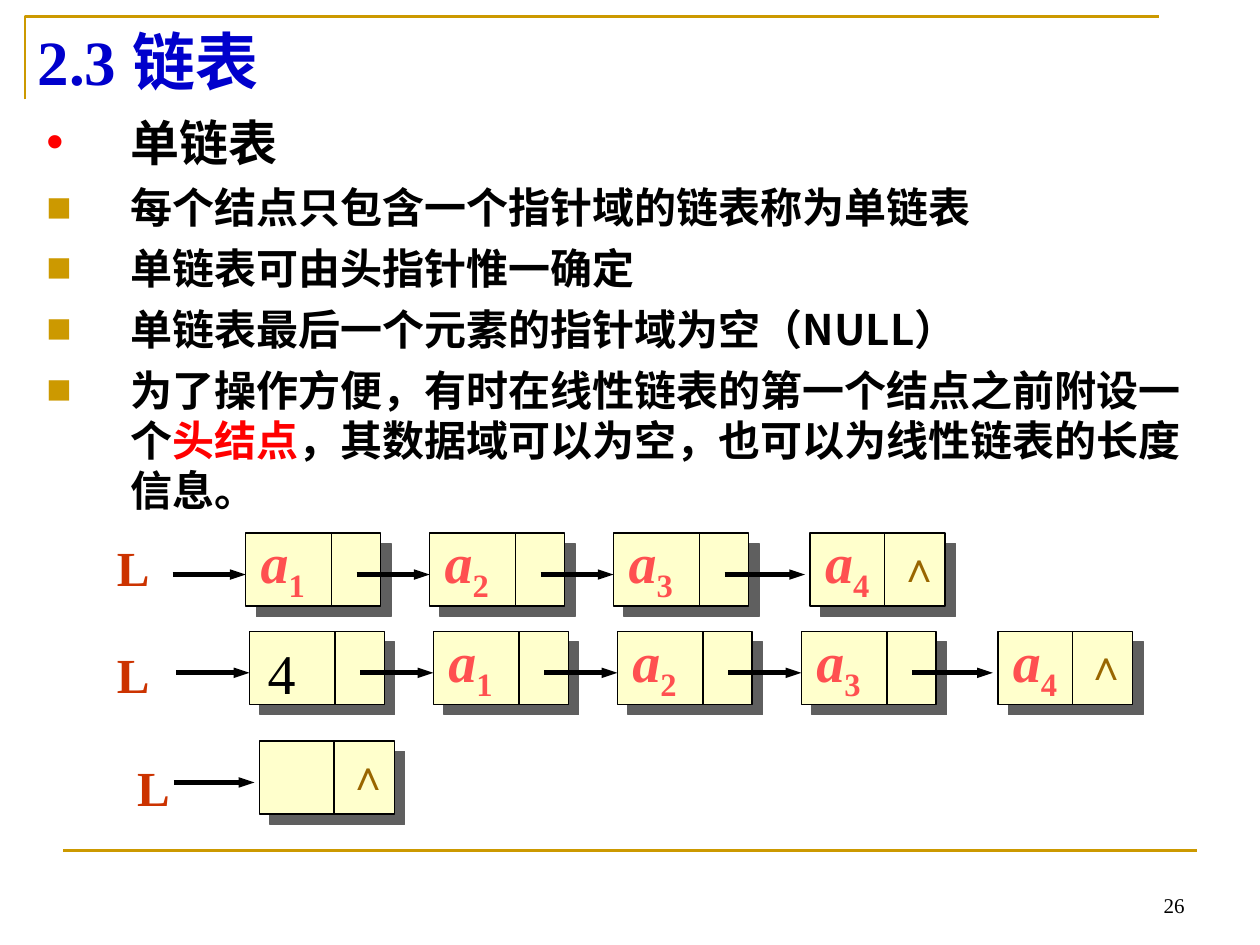
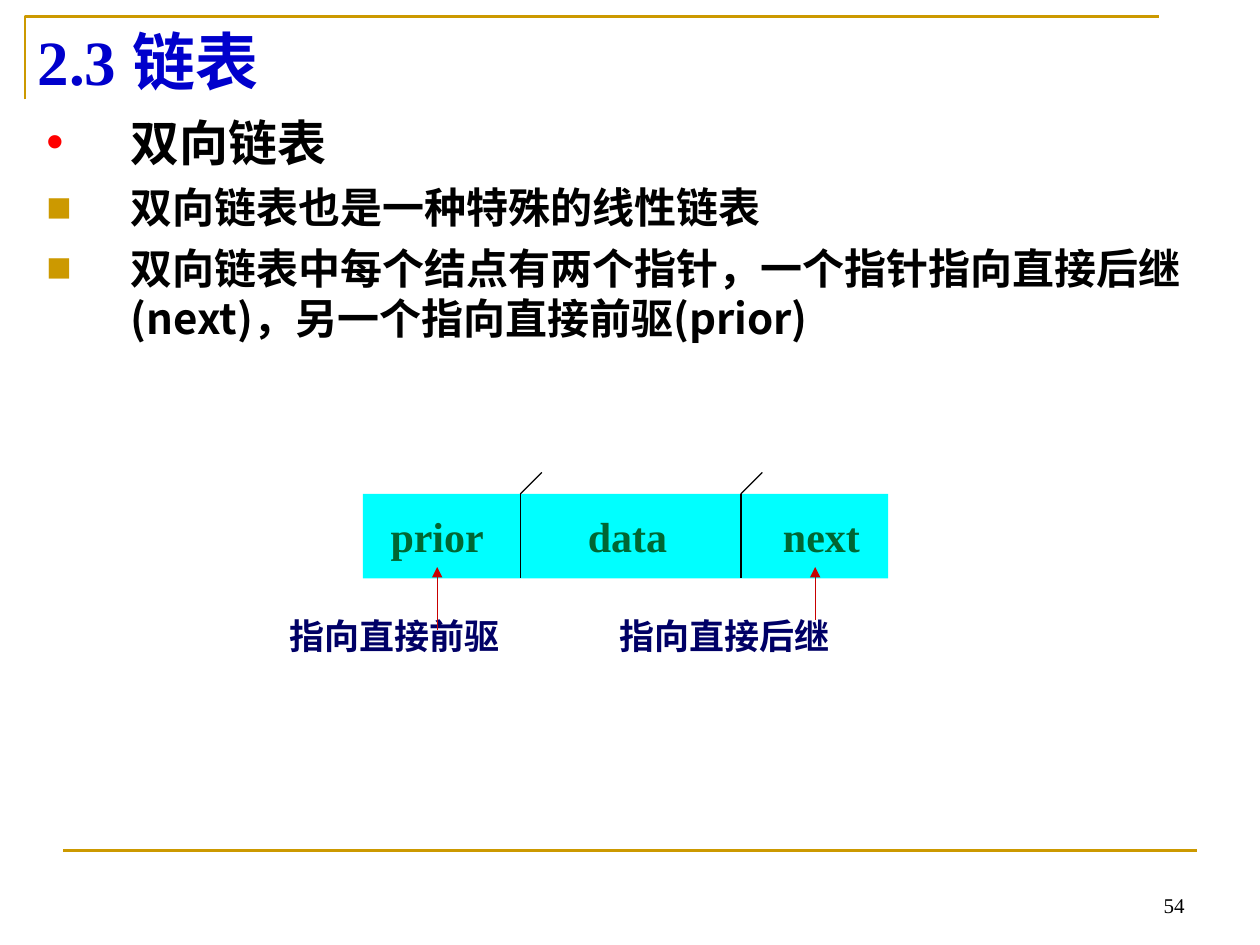
"""Builds two slides about singly and doubly linked lists."""
from lxml import etree
from pptx import Presentation
from pptx.dml.color import RGBColor
from pptx.enum.shapes import MSO_CONNECTOR, MSO_SHAPE
from pptx.enum.text import MSO_ANCHOR, PP_ALIGN
from pptx.oxml.ns import qn
from pptx.util import Inches, Pt

STRAIGHT = MSO_CONNECTOR.STRAIGHT
RECTANGLE = MSO_SHAPE.RECTANGLE
TOP, MIDDLE, BOTTOM = MSO_ANCHOR.TOP, MSO_ANCHOR.MIDDLE, MSO_ANCHOR.BOTTOM
LEFT, CENTER, RIGHT = PP_ALIGN.LEFT, PP_ALIGN.CENTER, PP_ALIGN.RIGHT

SERIF, SANS, CHINESE = "Times New Roman", "Arial", "Noto Sans CJK SC"
BLACK, RED, GOLD, TITLE_BLUE = "000000", "FF0000", "CC9900", "0000CC"
NODE_FILL, SHADOW, VALUE_RED = "FFFFCC", "5F5F5F", "FF5050"
NULL_BROWN, HEAD_RED = "996600", "CC3300"
CYAN, FIELD_GREEN, NOTE_BLUE, ARROW_RED = "00FFFF", "006633", "000066", "C80000"

TITLE = "2.3 链表"
SINGLE = {
    "number": "26",
    "topic": "单链表",
    "points": [
        [("每个结点只包含一个指针域的链表称为单链表", BLACK)],
        [("单链表可由头指针惟一确定", BLACK)],
        [("单链表最后一个元素的指针域为空（NULL）", BLACK)],
        [("为了操作方便，有时在线性链表的第一个结点之前附设一个", BLACK),
         ("头结点", RED),
         ("，其数据域可以为空，也可以为线性链表的长度信息。", BLACK)],
    ],
}
DOUBLE = {
    "number": "54",
    "topic": "双向链表",
    "points": [
        [("双向链表也是一种特殊的线性链表", BLACK)],
        [("双向链表中每个结点有两个指针，一个指针指向直接后继(next)，"
          "另一个指向直接前驱(prior)", BLACK)],
    ],
}
CHAINS = [
    {"left": 1.95, "top": 4.23, "head": (0.83, 4.22), "values": ["a1", "a2", "a3", "a4"]},
    {"left": 1.98, "top": 5.01, "head": (0.83, 5.07), "values": ["4", "a1", "a2", "a3", "a4"]},
    {"left": 1.96, "top": 5.88, "head": (0.99, 5.96), "values": [""]},
]
NODE_WIDTH, NODE_HEIGHT, NODE_PITCH = 1.07, 0.58, 1.46
LAST_SHIFT = 0.1

FIELDS_LEFT, FIELDS_TOP, FIELDS_WIDTH, FIELDS_HEIGHT = 2.88, 3.92, 4.17, 0.67
FIELDS = [("prior", 3.47), ("data", 4.98), ("next", 6.52)]
FIELD_DIVIDERS = [4.13, 5.88]
POINTER_NOTES = [("指向直接前驱", 2.2, 3.47, 5.0), ("指向直接后继", 4.82, 6.47, 4.92)]


def color(value):
    return RGBColor.from_string(value)


def add_element(parent, tag, **attributes):
    return etree.SubElement(parent, qn(tag), attributes)


def add_run(paragraph, text, size, font, fill, bold=True, italic=False):
    run = paragraph.add_run()
    run.text = text
    run.font.name, run.font.size = font, Pt(size)
    run.font.bold, run.font.italic = bold, italic
    run.font.color.rgb = color(fill)
    properties = run._r.get_or_add_rPr()
    add_element(properties, "a:ea", typeface=CHINESE)
    return run


def add_box(slide, left, top, width, height, anchor=TOP, align=LEFT, wrap=True):
    shape = slide.shapes.add_textbox(
        Inches(left), Inches(top), Inches(width), Inches(height))
    shape.text_frame.word_wrap = wrap
    shape.text_frame.vertical_anchor = anchor
    shape.text_frame.paragraphs[0].alignment = align
    return shape.text_frame


def add_line(slide, start, end, fill, width, arrow_width=None):
    points = [Inches(value) for value in (*start, *end)]
    line = slide.shapes.add_connector(STRAIGHT, *points)
    line.line.color.rgb = color(fill)
    line.line.width = Pt(width)
    if arrow_width:
        add_element(line.line._get_or_add_ln(), "a:tailEnd",
                    type="triangle", w=arrow_width, len="med")
    add_element(line._element.spPr, "a:effectLst")


def add_rectangle(slide, left, top, width, height, fill):
    shape = slide.shapes.add_shape(
        RECTANGLE, Inches(left), Inches(top), Inches(width), Inches(height))
    shape.fill.solid()
    shape.fill.fore_color.rgb = color(fill)
    shape.line.fill.background()
    shape.shadow.inherit = False
    return shape


def add_bullet(paragraph, character, fill):
    properties = paragraph._p.get_or_add_pPr()
    properties.set("marL", str(Inches(0.67)))
    properties.set("indent", str(-Inches(0.67)))
    bullet_color = add_element(properties, "a:buClr")
    add_element(bullet_color, "a:srgbClr", val=fill)
    add_element(properties, "a:buFont", typeface=SANS)
    add_element(properties, "a:buChar", char=character)


def add_frame(slide, number):
    builder = slide.shapes.build_freeform(Inches(0.2), Inches(0.79))
    builder.add_line_segments(
        [(Inches(0.2), Inches(0.13)), (Inches(9.2), Inches(0.13))], close=False)
    corner = builder.convert_to_shape()
    corner.fill.background()
    corner.line.color.rgb = color(GOLD)
    corner.line.width = Pt(1.5)
    corner.shadow.inherit = False
    add_line(slide, (0.5, 6.75), (9.5, 6.75), GOLD, 1.5)
    footer = add_box(slide, 7.17, 6.83, 2.33, 0.5, BOTTOM, RIGHT)
    add_run(footer.paragraphs[0], number, 12, SERIF, BLACK, bold=False)
    title = add_box(slide, 0.2, 0.13, 9, 0.71).paragraphs[0]
    title.line_spacing = Pt(43.2)
    add_run(title, TITLE, 36, SERIF, TITLE_BLUE)


def add_points(slide, topic, points):
    frame = add_box(slide, 0.27, 0.84, 9.25, 3.39)
    heading = frame.paragraphs[0]
    add_bullet(heading, "•", RED)
    heading.line_spacing = Pt(33.6)
    add_run(heading, topic, 28, CHINESE, BLACK)
    for point in points:
        paragraph = frame.add_paragraph()
        add_bullet(paragraph, "■", GOLD)
        paragraph.line_spacing = Pt(28.8)
        paragraph.space_before = Pt(6)
        for text, fill in point:
            add_run(paragraph, text, 24, CHINESE, fill)


def add_value(slide, value, left, top):
    if value.startswith("a"):
        paragraph = add_box(slide, left + 0.02, top - 0.09, 0.55, 0.71, wrap=False).paragraphs[0]
        add_run(paragraph, "a", 32, SERIF, VALUE_RED, italic=True)
        subscript = add_run(paragraph, value[1:], 32, SERIF, VALUE_RED)
        subscript._r.get_or_add_rPr().set("baseline", "-25000")
    elif value:
        paragraph = add_box(slide, left, top + 0.01, 0.51, 0.64, align=CENTER).paragraphs[0]
        add_run(paragraph, value, 32, SERIF, BLACK, bold=False)


def add_node(slide, value, left, top, is_last):
    node = add_rectangle(slide, left, top, NODE_WIDTH, NODE_HEIGHT, NODE_FILL)
    node.line.color.rgb = color(BLACK)
    node.line.width = Pt(0.75)
    effects = node._element.spPr.find(qn("a:effectLst"))
    shadow = add_element(effects, "a:outerShdw", dist=str(Pt(8.5)),
                         dir="2700000", algn="ctr", rotWithShape="0")
    add_element(shadow, "a:srgbClr", val=SHADOW)
    divider = left + (0.59 if is_last else 0.68)
    add_line(slide, (divider, top), (divider, top + NODE_HEIGHT), BLACK, 0.75)
    start, end = (left - 0.68, left - 0.04) if is_last else (left - 0.58, left)
    add_line(slide, (start, top + 0.33), (end, top + 0.33), BLACK, 3, "sm")
    add_value(slide, value, left, top)
    if is_last:
        null_mark = add_box(slide, left + 0.6, top + 0.01, 0.47, 0.5)
        add_run(null_mark.paragraphs[0], "∧", 24, SANS, NULL_BROWN)


def add_chain(slide, left, top, head, values):
    for index, value in enumerate(values):
        is_last = index == len(values) - 1
        node_left = left + index * NODE_PITCH + (LAST_SHIFT if is_last else 0)
        add_node(slide, value, node_left, top, is_last)
    label = add_box(slide, *head, 0.46, 0.57, wrap=False)
    add_run(label.paragraphs[0], "L", 28, SERIF, HEAD_RED)


def add_double_node(slide):
    add_rectangle(slide, FIELDS_LEFT, FIELDS_TOP, FIELDS_WIDTH, FIELDS_HEIGHT, CYAN)
    for name, center in FIELDS:
        field = add_box(slide, center - 0.6, FIELDS_TOP, 1.2, FIELDS_HEIGHT, MIDDLE, CENTER)
        add_run(field.paragraphs[0], name, 24, SERIF, FIELD_GREEN)
    for x in FIELD_DIVIDERS:
        add_line(slide, (x, FIELDS_TOP), (x, FIELDS_TOP + FIELDS_HEIGHT), BLACK, 0.75)
        add_line(slide, (x, FIELDS_TOP), (x + 0.17, FIELDS_TOP - 0.17), BLACK, 0.75)
    for note, left, arrow_x, arrow_start in POINTER_NOTES:
        paragraph = add_box(slide, left, 4.83, 1.9, 0.44, wrap=False).paragraphs[0]
        paragraph.line_spacing = Pt(24)
        add_run(paragraph, note, 20, SERIF, NOTE_BLUE)
        add_line(slide, (arrow_x, arrow_start), (arrow_x, 4.5), ARROW_RED, 0.75, "med")


def add_slide(presentation, content):
    slide = presentation.slides.add_slide(presentation.slide_layouts[6])
    add_frame(slide, content["number"])
    add_points(slide, content["topic"], content["points"])
    return slide


def main():
    presentation = Presentation()
    presentation.slide_width, presentation.slide_height = Inches(10), Inches(7.5)
    single_slide = add_slide(presentation, SINGLE)
    for chain in CHAINS:
        add_chain(single_slide, **chain)
    add_double_node(add_slide(presentation, DOUBLE))
    presentation.save("out.pptx")


if __name__ == "__main__":
    main()
